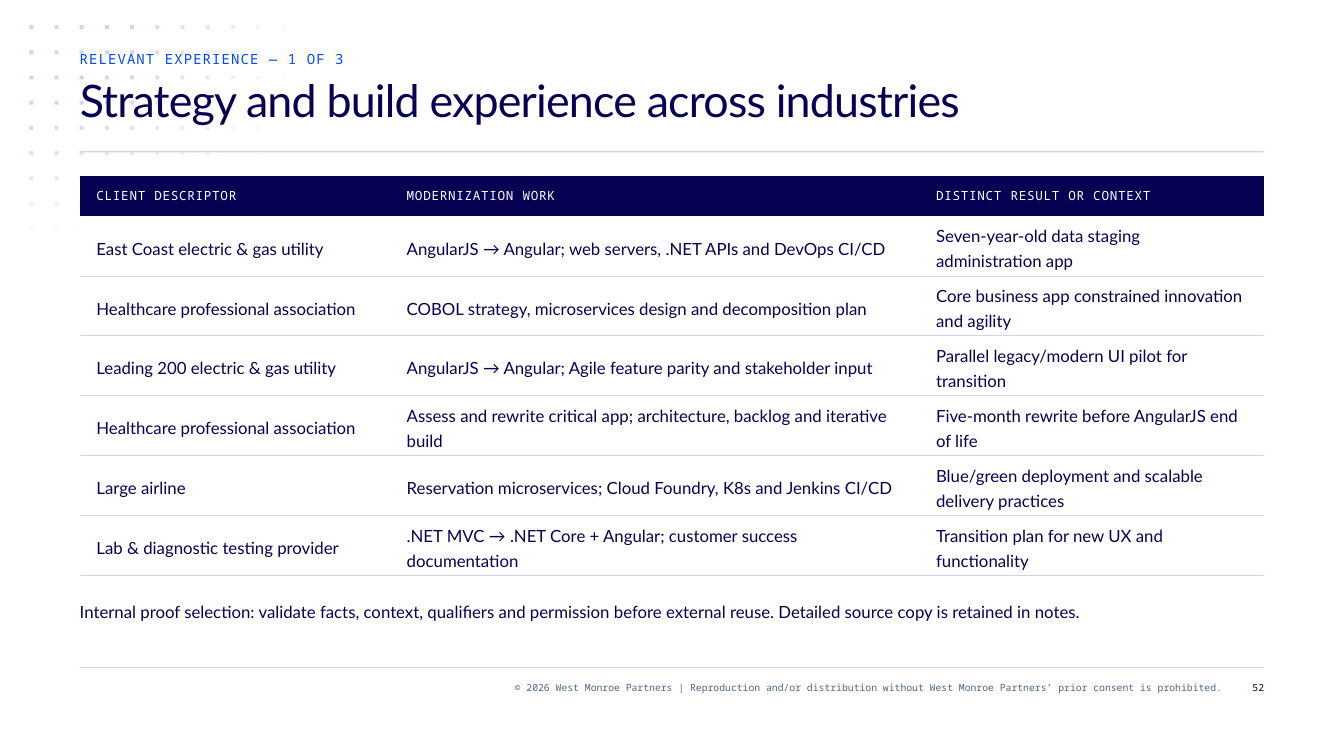
from math import hypot

from lxml import etree
from pptx import Presentation
from pptx.dml.color import RGBColor
from pptx.enum.shapes import MSO_SHAPE
from pptx.enum.text import MSO_ANCHOR, MSO_AUTO_SIZE, PP_ALIGN
from pptx.oxml.ns import qn
from pptx.util import Cm, Pt

RECT = MSO_SHAPE.RECTANGLE
LEFT, RIGHT = PP_ALIGN.LEFT, PP_ALIGN.RIGHT
TOP, MIDDLE = MSO_ANCHOR.TOP, MSO_ANCHOR.MIDDLE
NO_FIT = MSO_AUTO_SIZE.NONE

# Content
EYEBROW = "RELEVANT EXPERIENCE — 1 OF 3"
TITLE = "Strategy and build experience across industries"
HEADERS = ["CLIENT DESCRIPTOR", "MODERNIZATION WORK", "DISTINCT RESULT OR CONTEXT"]
CLIENTS = [
    ("East Coast electric & gas utility",
     "AngularJS → Angular; web servers, .NET APIs and DevOps CI/CD",
     "Seven-year-old data staging administration app"),
    ("Healthcare professional association",
     "COBOL strategy, microservices design and decomposition plan",
     "Core business app constrained innovation and agility"),
    ("Leading 200 electric & gas utility",
     "AngularJS → Angular; Agile feature parity and stakeholder input",
     "Parallel legacy/modern UI pilot for transition"),
    ("Healthcare professional association",
     "Assess and rewrite critical app; architecture, backlog and iterative build",
     "Five-month rewrite before AngularJS end of life"),
    ("Large airline",
     "Reservation microservices; Cloud Foundry, K8s and Jenkins CI/CD",
     "Blue/green deployment and scalable delivery practices"),
    ("Lab & diagnostic testing provider",
     ".NET MVC → .NET Core + Angular; customer success documentation",
     "Transition plan for new UX and functionality"),
]
NOTE = ("Internal proof selection: validate facts, context, qualifiers and permission "
        "before external reuse. Detailed source copy is retained in notes.")
COPYRIGHT = ("© 2026 West Monroe Partners | Reproduction and/or distribution without "
             "West Monroe Partners’ prior consent is prohibited.")
PAGE = "52"

# Style and layout, in centimetres
SANS, MONO = "Lato", "Noto Sans Mono"
NAVY, BLUE, SLATE, MIST, WHITE = "070154", "0047FF", "50658E", "CED7E6", "FFFFFF"
MARGIN, WIDTH = 2.01, 29.85
STEP = 2.54 / 4
COLS = [7.82, 13.34, 8.69]
HEADER_H, ROW_H = 1, 1.51
NO_GRID = "{2D5ABB26-0587-4C30-8999-92F81FD0307C}"


def rgb(value):
    return RGBColor.from_string(value)


def write(tf, text, size, font, color, leading, spacing=0, align=LEFT):
    p = tf.paragraphs[0]
    p.alignment = align
    p.line_spacing = Pt(leading)
    p.font.size = Pt(size)
    p.font.name = font
    p.font.bold = False
    p.font.color.rgb = rgb(color)
    r = p.add_run()
    r.text = text
    if spacing:
        r.font._element.set("spc", str(round(spacing * 100)))


def frame(sp):
    tf = sp.text_frame
    tf.word_wrap = True
    tf.auto_size = NO_FIT
    tf.vertical_anchor = TOP
    tf.margin_left = tf.margin_top = tf.margin_right = tf.margin_bottom = 0
    return tf


def text_box(s, x, y, w, h, *style, **options):
    sp = s.shapes.add_textbox(Cm(x), Cm(y), Cm(w), Cm(h))
    write(frame(sp), *style, **options)


def block(s, x, y, w, h, opacity=100):
    sp = s.shapes.add_shape(RECT, Cm(x), Cm(y), Cm(w), Cm(h))
    sp.shadow.inherit = False
    sp.line.fill.background()
    sp.fill.solid()
    sp.fill.fore_color.rgb = rgb(MIST)
    if opacity < 100:
        color = sp.element.spPr.find(".//" + qn("a:srgbClr"))
        etree.SubElement(color, qn("a:alpha"), val=str(round(opacity) * 1000))


def bottom_border(cell):
    ln = etree.Element(qn("a:lnB"), w=str(Pt(0.75)))
    fill = etree.SubElement(ln, qn("a:solidFill"))
    etree.SubElement(fill, qn("a:srgbClr"), val=MIST)
    cell._tc.get_or_add_tcPr().insert(0, ln)


def add_dots(s):
    """Square dots that fade out along an ellipse from the corner."""
    for col in range(11):
        for row in range(9):
            opacity = 153 * (1 - hypot(col / 11.08, row / 9.08))
            if opacity > 2:
                block(s, 0.74 + col * STEP, STEP * (row + 1), 0.1, 0.1, opacity)


def add_client_table(s):
    height = HEADER_H + ROW_H * len(CLIENTS)
    table = s.shapes.add_table(len(CLIENTS) + 1, len(COLS), Cm(MARGIN), Cm(7 * STEP),
                               Cm(WIDTH), Cm(height)).table
    table._tbl.tblPr.find(qn("a:tableStyleId")).text = NO_GRID
    table.first_row = table.horz_banding = False
    for column, width in zip(table.columns, COLS):
        column.width = Cm(width)
    for i, texts in enumerate([HEADERS, *CLIENTS]):
        header = i == 0
        table.rows[i].height = Cm(HEADER_H if header else ROW_H)
        for j, text in enumerate(texts):
            cell = table.cell(i, j)
            cell.vertical_anchor = MIDDLE
            cell.margin_left = cell.margin_right = Cm(0.42)
            cell.margin_top = cell.margin_bottom = 0
            cell.fill.solid()
            cell.fill.fore_color.rgb = rgb(NAVY if header else WHITE)
            if header:
                write(cell.text_frame, text, 9, MONO, WHITE, 12, 0.5)
            else:
                write(cell.text_frame, text, 12, SANS, NAVY, 18)
                bottom_border(cell)


def main():
    prs = Presentation()
    prs.slide_width, prs.slide_height = Cm(33.87), Cm(19.05)
    s = prs.slides.add_slide(prs.slide_layouts[5])

    # Background dots and rules
    add_dots(s)
    for y in (6 * STEP, 16.81):
        block(s, MARGIN, y, WIDTH, 0.03)

    # Heading, with the title in front of the dots
    text_box(s, MARGIN, 2 * STEP, WIDTH, 0.43, EYEBROW, 10, MONO, BLUE, 12, 0.8)
    title = s.shapes.title
    title.left, title.top, title.width, title.height = (
        Cm(MARGIN), Cm(3 * STEP), Cm(WIDTH), Cm(3 * STEP))
    write(frame(title), TITLE, 32, SANS, NAVY, 36, -0.6)
    title.element.getparent().append(title.element)

    # Table and note
    add_client_table(s)
    text_box(s, MARGIN, 15.04, WIDTH, 1.27, NOTE, 12, SANS, NAVY, 18)

    # Footer
    text_box(s, 6.03, 27 * STEP, 24.77, STEP, COPYRIGHT, 7, MONO, SLATE, 9, align=RIGHT)
    text_box(s, 31.01, 27 * STEP, 0.85, STEP, PAGE, 7, MONO, NAVY, 9, align=RIGHT)

    prs.save("out.pptx")


if __name__ == "__main__":
    main()
